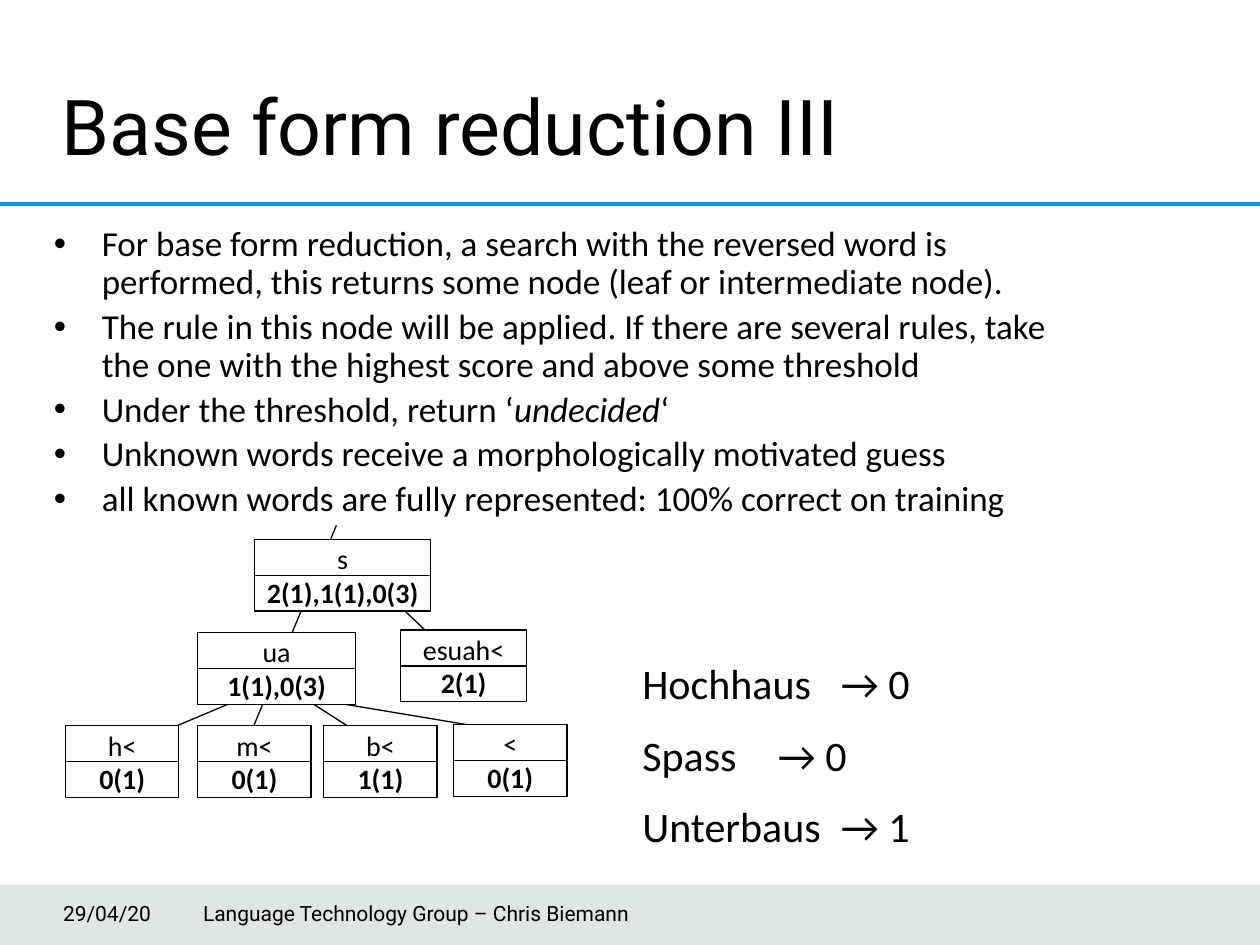
from lxml.etree import SubElement
from pptx import Presentation
from pptx.dml.color import RGBColor
from pptx.enum.shapes import MSO_CONNECTOR, MSO_SHAPE
from pptx.enum.text import MSO_ANCHOR, PP_ALIGN
from pptx.oxml.ns import qn
from pptx.util import Inches, Pt

THEME = {
    "text": "000000", "paper": "FFFFFF", "rule": "009CD1", "footer": "3B515B",
    "title": {"name": "Roboto", "size": Pt(44)},
    "body": {"name": "Calibri", "size": Pt(20)},
    "example": {"name": "Calibri", "size": Pt(24)},
    "node": {"name": "Calibri", "size": Pt(16)},
    "small": {"name": "Roboto", "size": Pt(12)},
}

TITLE = "Base form reduction III"
BULLETS = [
    ["For base form reduction, a search with the reversed word is performed, "
     "this returns some node (leaf or intermediate node)."],
    ["The rule in this node will be applied. If there are several rules, take "
     "the one with the highest score and above some threshold"],
    ["Under the threshold, return ‘", "undecided", "‘"],
    ["Unknown words receive a morphologically motivated guess"],
    ["all known words are fully represented: 100% correct on training"],
]
EXAMPLES = [["Hochhaus\t → 0"], ["Spass\t → 0"], ["Unterbaus\t → 1"]]
FOOTERS = [
    ("29/04/20", (0.5, 7.05, 0.99, 0.4)),
    (" Language Technology Group – Chris Biemann", (1.57, 7.05, 4.95, 0.4)),
]
NODE_HEIGHT = 0.57
NODES = [
    ("s", "2(1),1(1),0(3)", 2.02, 4.28, 1.4),
    ("ua", "1(1),0(3)", 1.57, 5.02, 1.25),
    ("h<", "0(1)", 0.52, 5.76, 0.9),
    ("m<", "0(1)", 1.57, 5.76, 0.9),
    ("b<", "1(1)", 2.57, 5.76, 0.9),
    ("<", "0(1)", 3.6, 5.75, 0.9),
    ("esuah<", "2(1)", 3.18, 5, 1),
]
BRANCHES = [
    (2.68, 5.58, 4.18, 5.83),
    (2.67, 4.17, 1.92, 5.99),
    (3.52, 5.14, 2.92, 4.57),
    (1.12, 5.88, 2.07, 5.48),
    (3.02, 5.93, 2.32, 5.48),
]


def color(key):
    return RGBColor.from_string(THEME[key])


def apply(target, values):
    for name, value in values.items():
        setattr(target, name, value)


def add_span(para, text, style, **extra):
    span = para.add_run()
    span.text = text
    apply(span.font, {**THEME[style], **extra})
    span.font.color.rgb = color("text")


def add_line(slide, ends, key="text", width=0.75):
    line = slide.shapes.add_connector(MSO_CONNECTOR.STRAIGHT, *map(Inches, ends))
    line.line.color.rgb = color(key)
    line.line.width = Pt(width)
    SubElement(line._element.spPr, qn("a:effectLst"))


def add_rectangle(slide, area, key):
    box = slide.shapes.add_shape(MSO_SHAPE.RECTANGLE, *map(Inches, area))
    box.shadow.inherit = False
    box.fill.solid()
    box.fill.fore_color.rgb = color(key)
    return box


def add_text(slide, area, paragraphs, style, frame_format=None, para_format=None):
    frame = slide.shapes.add_textbox(*map(Inches, area)).text_frame
    apply(frame, {"word_wrap": True, **(frame_format or {})})
    for index, spans in enumerate(paragraphs):
        para = frame.add_paragraph() if index else frame.paragraphs[0]
        apply(para, para_format or {})
        for position, text in enumerate(spans):
            add_span(para, text, style, italic=position == 1)
    return frame


def add_bullets(frame):
    for para in frame.paragraphs:
        properties = para._p.get_or_add_pPr()
        properties.set("marL", str(Inches(0.38)))
        properties.set("indent", str(-Inches(0.38)))
        SubElement(properties, qn("a:buFont"), typeface="Arial")
        SubElement(properties, qn("a:buChar"), char="•")


def add_node(slide, label, scores, left, top, width):
    box = add_rectangle(slide, (left, top, width, NODE_HEIGHT), "paper")
    box.line.color.rgb = color("text")
    box.line.width = Pt(0.75)
    apply(box.text_frame, {"word_wrap": False, "vertical_anchor": MSO_ANCHOR.MIDDLE})
    para = box.text_frame.paragraphs[0]
    para.alignment = PP_ALIGN.CENTER
    add_span(para, label, "node")
    para.add_line_break()
    add_span(para, scores, "node", bold=True)
    middle = top + NODE_HEIGHT / 2
    add_line(slide, (left, middle, left + width, middle))


def main():
    deck = Presentation()
    apply(deck, {"slide_width": Inches(10), "slide_height": Inches(7.5)})
    page = deck.slides.add_slide(deck.slide_layouts[6])

    band = add_rectangle(page, (0, 7.02, 10, 0.48), "footer")
    band.line.fill.background()
    fill_color = band._element.spPr.find(qn("a:solidFill"))[0]
    SubElement(fill_color, qn("a:alpha"), val="15000")
    add_line(page, (0, 1.62, 10, 1.62), "rule", 2)

    middle = {"vertical_anchor": MSO_ANCHOR.MIDDLE}
    add_text(page, (0.39, 0.53, 7.52, 0.92), [[TITLE]], "title", middle)
    body = add_text(page, (0.33, 1.75, 8.5, 2.33), BULLETS, "body",
                    para_format={"line_spacing": 0.9, "space_before": Pt(4)})
    add_bullets(body)

    for branch in BRANCHES:
        add_line(page, branch)
    for node in NODES:
        add_node(page, *node)

    add_text(page, (5, 5.17, 3.33, 1.72), EXAMPLES, "example",
             para_format={"space_before": Pt(12)})
    for text, area in FOOTERS:
        add_text(page, area, [[text]], "small", {**middle, "margin_left": 0})

    deck.save("out.pptx")


if __name__ == "__main__":
    main()
